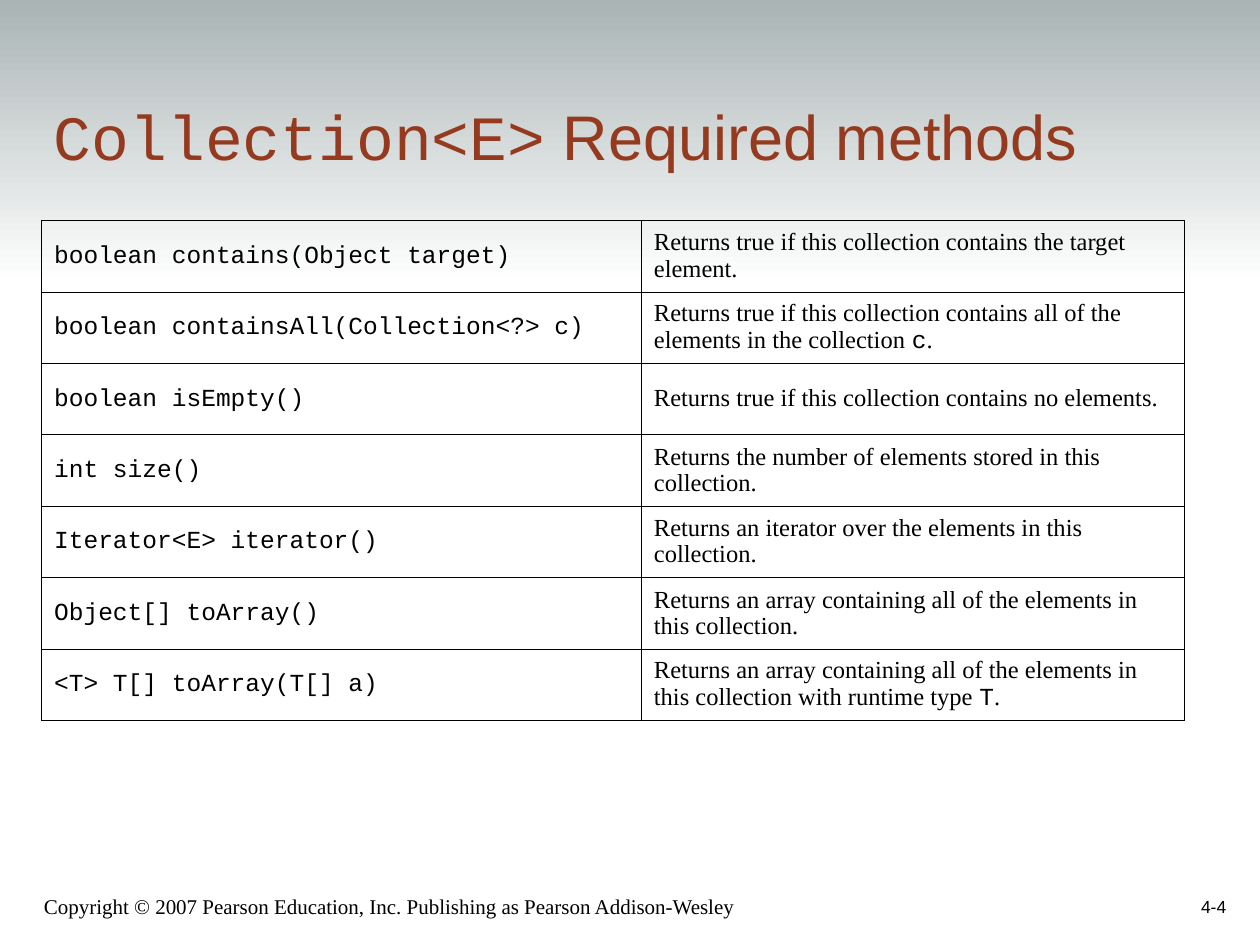
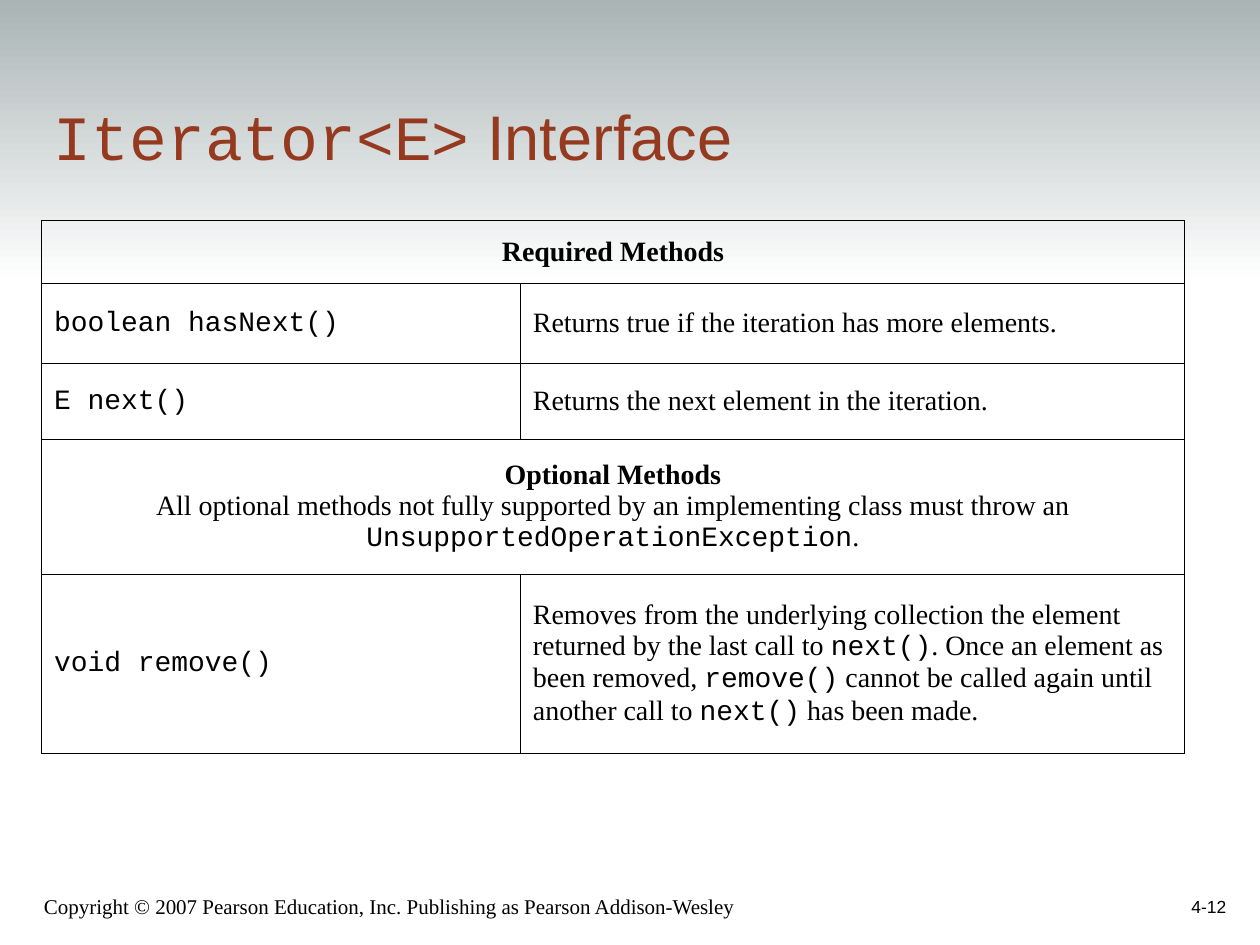
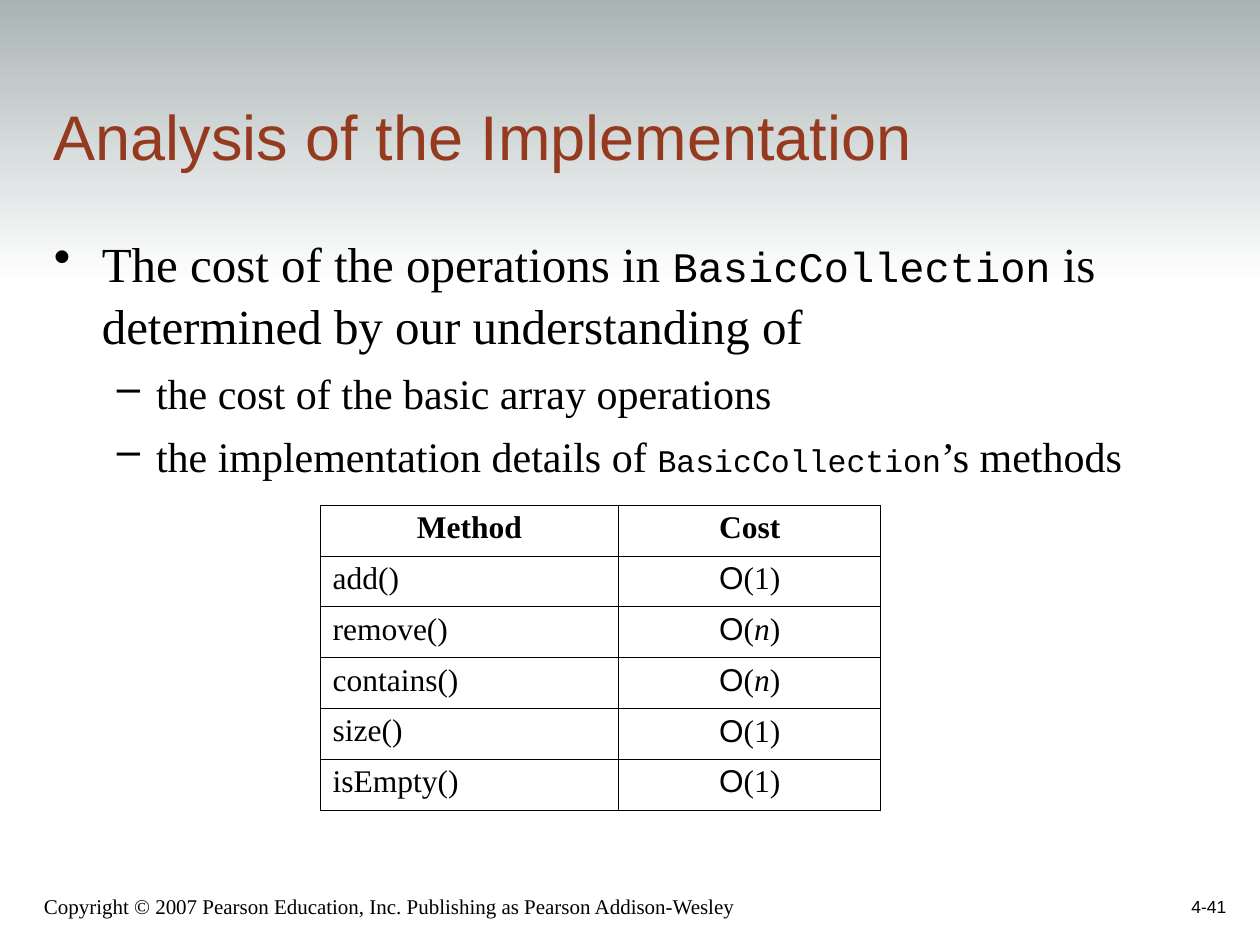
from dataclasses import dataclass
from typing import NamedTuple

from lxml import etree
from pptx import Presentation
from pptx import util as u
from pptx.dml.color import RGBColor
from pptx.enum import shapes, text
from pptx.oxml import ns

PX = 9144  # 100 px to the inch

BLACK = RGBColor(0x00, 0x00, 0x00)
RUST = RGBColor(0x95, 0x3A, 0x1F)
SLATE = RGBColor(0xA7, 0xB1, 0xB2)
WHITE = RGBColor(0xFF, 0xFF, 0xFF)

SANS = "Arial"
MONO = "Courier New"
SERIF = "Times New Roman"

LEFT = text.PP_ALIGN.LEFT
MID = text.PP_ALIGN.CENTER
RIGHT = text.PP_ALIGN.RIGHT
TOP = text.MSO_ANCHOR.TOP
CENTRE = text.MSO_ANCHOR.MIDDLE
BASE = text.MSO_ANCHOR.BOTTOM

NOTICE = "Copyright © 2007 Pearson Education, Inc. Publishing as Pearson Addison-Wesley"


class Box(NamedTuple):
    left: int
    top: int
    width: int
    height: int

    def emu(self) -> list[int]:
        return [side * PX for side in self]


class Run(NamedTuple):
    text: str
    face: str = SERIF
    size: int = 0
    bold: bool = False
    slant: bool = False


class Bullet(NamedTuple):
    mark: str
    level: int
    inset: int
    hang: int


@dataclass
class Para:
    runs: list[Run]
    size: int
    align: int = LEFT
    color: RGBColor = BLACK
    pitch: float = 1.0
    before: int = 0
    bullet: Bullet | None = None


@dataclass
class Cell:
    lines: list[list[Run]]
    align: int = LEFT
    wide: bool = False


@dataclass
class Grid:
    box: Box
    cols: tuple[int, ...]
    cells: list[list[Cell]]
    size: int
    rows: tuple[int, ...] = ()
    anchor: int = CENTRE


BAND = Box(0, -8, 1000, 233)
TITLE = Box(33, 33, 847, 109)
BODY = Box(33, 175, 932, 202)
FOOT = Box(25, 692, 608, 42)
PAGE = Box(775, 683, 208, 50)

DOT = Bullet("•", 0, 38, 38)
DASH = Bullet("–", 1, 81, 31)


def code(words: str, size: int = 0) -> Run:
    return Run(words, MONO, size)


def sans(words: str) -> Run:
    return Run(words, SANS)


def cell(*runs: Run | str, align: int = LEFT) -> Cell:
    return Cell([[Run(r) if isinstance(r, str) else r for r in runs]], align)


def cost(arg: str) -> Cell:
    return cell(sans("Ο"), "(", Run(arg, slant=arg.isalpha()), ")", align=MID)


def mark(props, bullet: Bullet) -> None:
    props.set("marL", str(bullet.inset * PX))
    props.set("indent", str(-bullet.hang * PX))
    tint = etree.SubElement(props, ns.qn("a:buClr"))
    etree.SubElement(tint, ns.qn("a:srgbClr"), val=str(BLACK))
    etree.SubElement(props, ns.qn("a:buChar"), char=bullet.mark)


def write(frame, paras: list[Para]) -> None:
    frame.word_wrap = True
    for i, para in enumerate(paras):
        line = frame.add_paragraph() if i else frame.paragraphs[0]
        if para.bullet:
            line.level = para.bullet.level
            mark(line._p.get_or_add_pPr(), para.bullet)
        line.alignment = para.align
        line.line_spacing = para.pitch
        if i:
            line.space_before = u.Pt(para.before)
        for part in para.runs:
            run = line.add_run()
            run.text = part.text
            font = run.font
            font.name = part.face
            font.size = u.Pt(part.size or para.size)
            font.bold, font.italic = part.bold, part.slant
            font.color.rgb = para.color


def label(slide, box: Box, paras: list[Para], anchor: int = BASE):
    frame = slide.shapes.add_textbox(*box.emu()).text_frame
    frame.vertical_anchor = anchor
    write(frame, paras)
    return frame


def rule(item) -> None:
    """Line a table cell on all four sides."""
    props = item._tc.get_or_add_tcPr()
    for side in ("lnL", "lnR", "lnT", "lnB"):
        edge = etree.SubElement(props, ns.qn(f"a:{side}"), w=str(u.Pt(0.45)))
        fill = etree.SubElement(edge, ns.qn("a:solidFill"))
        etree.SubElement(fill, ns.qn("a:srgbClr"), val=str(BLACK))


def draw(slide, grid: Grid) -> None:
    count = len(grid.cells)
    table = slide.shapes.add_table(count, len(grid.cols), *grid.box.emu()).table
    table.first_row = table.horz_banding = False
    for col, width in zip(table.columns, grid.cols):
        col.width = width * PX
    for row, height in zip(table.rows, grid.rows):
        row.height = height * PX
    for item in table.iter_cells():
        rule(item)
        item.fill.background()
    for r, row in enumerate(grid.cells):
        for c, data in enumerate(row):
            item = table.cell(r, c)
            if data.wide:
                item.merge(table.cell(r, len(grid.cols) - 1))
            item.vertical_anchor = grid.anchor
            write(item.text_frame, [Para(line, grid.size, data.align, pitch=0.97)
                                    for line in data.lines])


def start(deck, title: list[Run], page: str):
    """Add a slide with its band, footers and title."""
    slide = deck.slides.add_slide(deck.slide_layouts[6])
    band = slide.shapes.add_shape(shapes.MSO_SHAPE.RECTANGLE, *BAND.emu())
    band.shadow.inherit = False
    band.line.fill.background()
    band.fill.gradient()
    band.fill.gradient_angle = 270
    for stop, color in zip(band.fill.gradient_stops, (SLATE, WHITE)):
        stop.color.rgb = color
    label(slide, FOOT, [Para([Run(NOTICE)], 12)])
    label(slide, PAGE, [Para([sans(page)], 10, RIGHT)])
    label(slide, TITLE, [Para(title, 36, color=RUST)])
    return slide


def methods(deck) -> None:
    slide = start(deck, [code("Collection<E>"), sans(" Required methods")], "4-4")
    cells = [
        [cell(code("boolean contains(Object target)")),
         cell("Returns true if this collection contains the target element.")],
        [cell(code("boolean containsAll(Collection<?> c)")),
         cell("Returns true if this collection contains all of the elements "
              "in the collection ", code("c"), ".")],
        [cell(code("boolean isEmpty()")),
         cell("Returns true if this collection contains no elements.")],
        [cell(code("int size()")),
         cell("Returns the number of elements stored in this collection.")],
        [cell(code("Iterator<E> iterator()")),
         cell("Returns an iterator over the elements in this collection.")],
        [cell(code("Object[] toArray()")),
         cell("Returns an array containing all of the elements in this collection.")],
        [cell(code("<T> T[] toArray(T[] a)")),
         cell("Returns an array containing all of the elements in this "
              "collection with runtime type ", code("T"), ".")],
    ]
    draw(slide, Grid(Box(33, 175, 907, 397), (476, 431), cells, 14))


def cursor(deck) -> None:
    slide = start(deck, [code("Iterator<E>"), sans(" Interface")], "4-12")
    needed = Cell([[Run("Required Methods", bold=True)]], MID, wide=True)
    extra = Cell([
        [Run("Optional Methods", bold=True)],
        [Run("All optional methods not fully supported by an implementing "
             "class must throw an")],
        [code("UnsupportedOperationException"), Run(".")],
    ], MID, wide=True)
    cells = [
        [needed],
        [cell(code("boolean hasNext()")),
         cell("Returns true if the iteration has more elements.")],
        [cell(code("E next()")),
         cell("Returns the next element in the iteration.")],
        [extra],
        [cell(code("void remove()")),
         cell("Removes from the underlying collection the element returned by "
              "the last call to ", code("next()"),
              ". Once an element as been removed, ", code("remove()"),
              " cannot be called again until another call to ", code("next()"),
              " has been made.")],
    ]
    draw(slide, Grid(Box(33, 175, 907, 423), (380, 527), cells, 16,
                     rows=(50, 63, 61, 107, 142)))


def costs(deck) -> None:
    slide = start(deck, [sans("Analysis of the Implementation")], "4-41")
    name = "BasicCollection"
    points = [
        (DOT, 28, [Run("The cost of the operations in "), code(name, 24),
                   Run(" is determined by our understanding of")]),
        (DASH, 24, [Run("the cost of the basic array operations")]),
        (DASH, 24, [Run("the implementation details of "), code(name, 18),
                    Run("’s methods")]),
    ]
    frame = label(slide, BODY, [Para(runs, size, pitch=1.05, before=6, bullet=bullet)
                                for bullet, size, runs in points], TOP)
    frame.margin_right = 0
    frame.margin_top = 8 * PX
    head = [cell(Run(word, bold=True), align=MID) for word in ("Method", "Cost")]
    orders = {"add()": "1", "remove()": "n", "contains()": "n",
              "size()": "1", "isEmpty()": "1"}
    cells = [head] + [[cell(call), cost(arg)] for call, arg in orders.items()]
    draw(slide, Grid(Box(254, 401, 445, 242), (237, 208), cells, 18, anchor=TOP))


def main() -> None:
    deck = Presentation()
    deck.slide_width, deck.slide_height = 1000 * PX, 750 * PX
    for build in (methods, cursor, costs):
        build(deck)
    deck.save("out.pptx")


if __name__ == "__main__":
    main()
